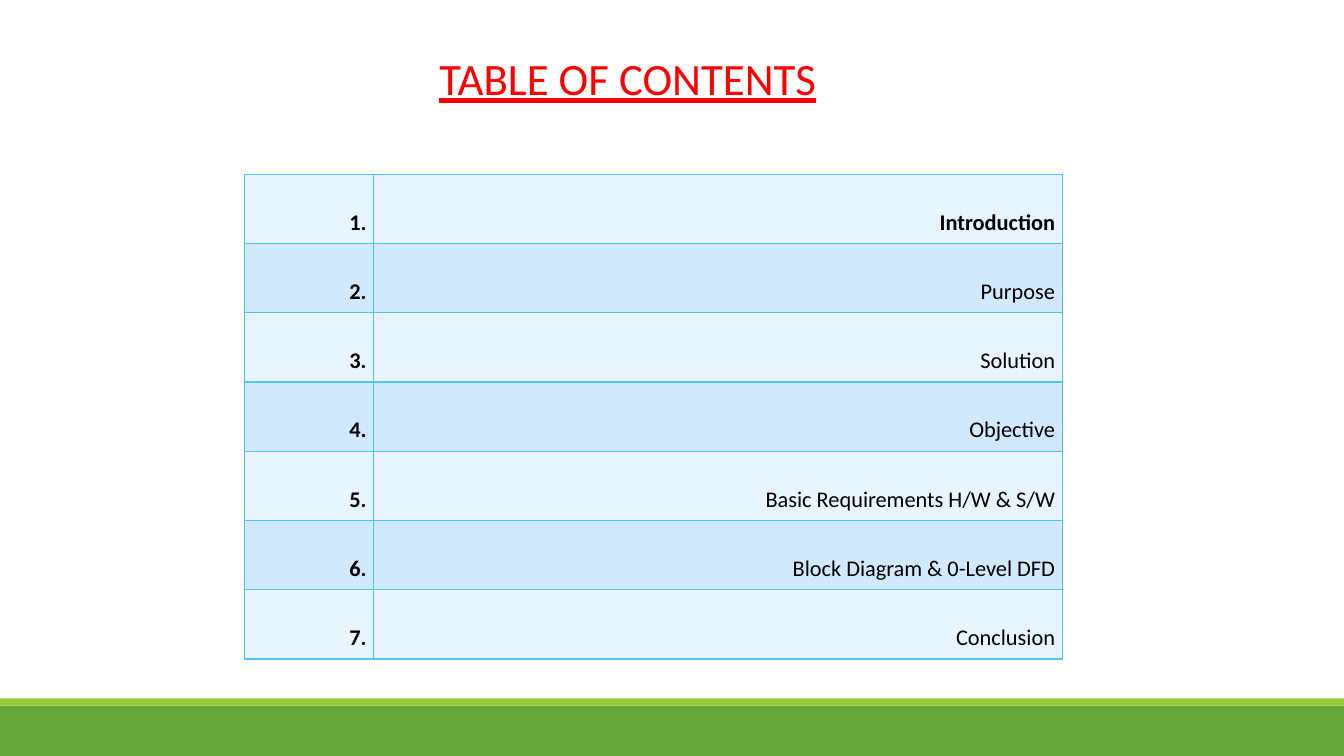
import pptx
import pptx.dml.color
import pptx.enum.shapes
import pptx.enum.text
import pptx.util
from lxml import etree
from pptx.util import Cm

COLORS = {
    "title": "FF0000",
    "text": "000000",
    "border": "51C3F9",
    "odd_row": "E9F5FE",
    "even_row": "D0E9FD",
    "band": "63A537",
    "stripe": "99CB38",
}
FONT = "Calibri"
TOPICS = [
    "Introduction",
    "Purpose",
    "Solution",
    "Objective",
    "Basic Requirements H/W & S/W",
    "Block Diagram & 0-Level DFD",
    "Conclusion",
]
DRAWING = "http://schemas.openxmlformats.org/drawingml/2006/main"


def rgb(name):
    return pptx.dml.color.RGBColor.from_string(COLORS[name])


def write_text(frame, text, *, size, color, align, line_spacing, space_after,
               bold=False, underline=False):
    paragraph = frame.paragraphs[0]
    paragraph.alignment = align
    paragraph.line_spacing = line_spacing
    paragraph.space_after = pptx.util.Pt(space_after)
    run = paragraph.add_run()
    run.text = text
    run.font.name = FONT
    run.font.size = pptx.util.Pt(size)
    run.font.bold = bold
    run.font.underline = underline
    run.font.color.rgb = rgb(color)


def add_footer(slide, left, top, width, height):
    """A thin stripe above a solid band."""
    stripe_height = Cm(0.18)
    parts = [
        ("band", top + stripe_height, height - stripe_height),
        ("stripe", top, stripe_height),
    ]
    for color, part_top, part_height in parts:
        shape = slide.shapes.add_shape(
            pptx.enum.shapes.MSO_SHAPE.RECTANGLE, left, part_top, width, part_height)
        shape.shadow.inherit = False
        shape.fill.solid()
        shape.fill.fore_color.rgb = rgb(color)
        shape.line.fill.background()


def add_title(slide, left, top, width, height):
    frame = slide.shapes.add_textbox(left, top, width, height).text_frame
    frame.word_wrap = True
    frame.auto_size = pptx.enum.text.MSO_AUTO_SIZE.SHAPE_TO_FIT_TEXT
    write_text(frame, "TABLE OF CONTENTS", size=32, color="title",
               align=pptx.enum.text.PP_ALIGN.CENTER, line_spacing=1.07,
               space_after=8, underline=True)


def add_cell_borders(cell):
    properties = cell._tc.get_or_add_tcPr()
    for side in ("lnL", "lnR", "lnT", "lnB"):
        line = etree.SubElement(properties, f"{{{DRAWING}}}{side}",
                                w=str(pptx.util.Pt(1)))
        fill = etree.SubElement(line, f"{{{DRAWING}}}solidFill")
        etree.SubElement(fill, f"{{{DRAWING}}}srgbClr", val=COLORS["border"])


def add_contents(slide, left, top, width, height):
    """Numbered topics on alternating row colours."""
    table = slide.shapes.add_table(len(TOPICS), 2, left, top, width, height).table
    number_width = Cm(3.25)
    table.columns[0].width = number_width
    table.columns[1].width = width - number_width

    for index, topic in enumerate(TOPICS):
        row_color = "even_row" if index % 2 else "odd_row"
        for column, text in enumerate((f"{index + 1}.", topic)):
            cell = table.cell(index, column)
            cell.margin_left = cell.margin_right = Cm(0.18)
            cell.margin_top = cell.margin_bottom = 0
            cell.vertical_anchor = pptx.enum.text.MSO_ANCHOR.MIDDLE
            add_cell_borders(cell)
            cell.fill.solid()
            cell.fill.fore_color.rgb = rgb(row_color)
            write_text(cell.text_frame, text, size=16, color="text",
                       align=pptx.enum.text.PP_ALIGN.RIGHT, line_spacing=2.0,
                       space_after=10, bold=column == 0 or index == 0)


def main():
    presentation = pptx.Presentation()
    presentation.slide_width = Cm(33.87)
    presentation.slide_height = Cm(19.05)
    slide = presentation.slides.add_slide(presentation.slide_layouts[6])

    add_footer(slide, 0, Cm(17.6), presentation.slide_width, Cm(1.45))
    add_title(slide, Cm(9.93), Cm(1.07), Cm(11.79), Cm(1.65))
    add_contents(slide, Cm(6.17), Cm(4.39), Cm(20.6), Cm(12.22))

    presentation.save("out.pptx")


if __name__ == "__main__":
    main()
